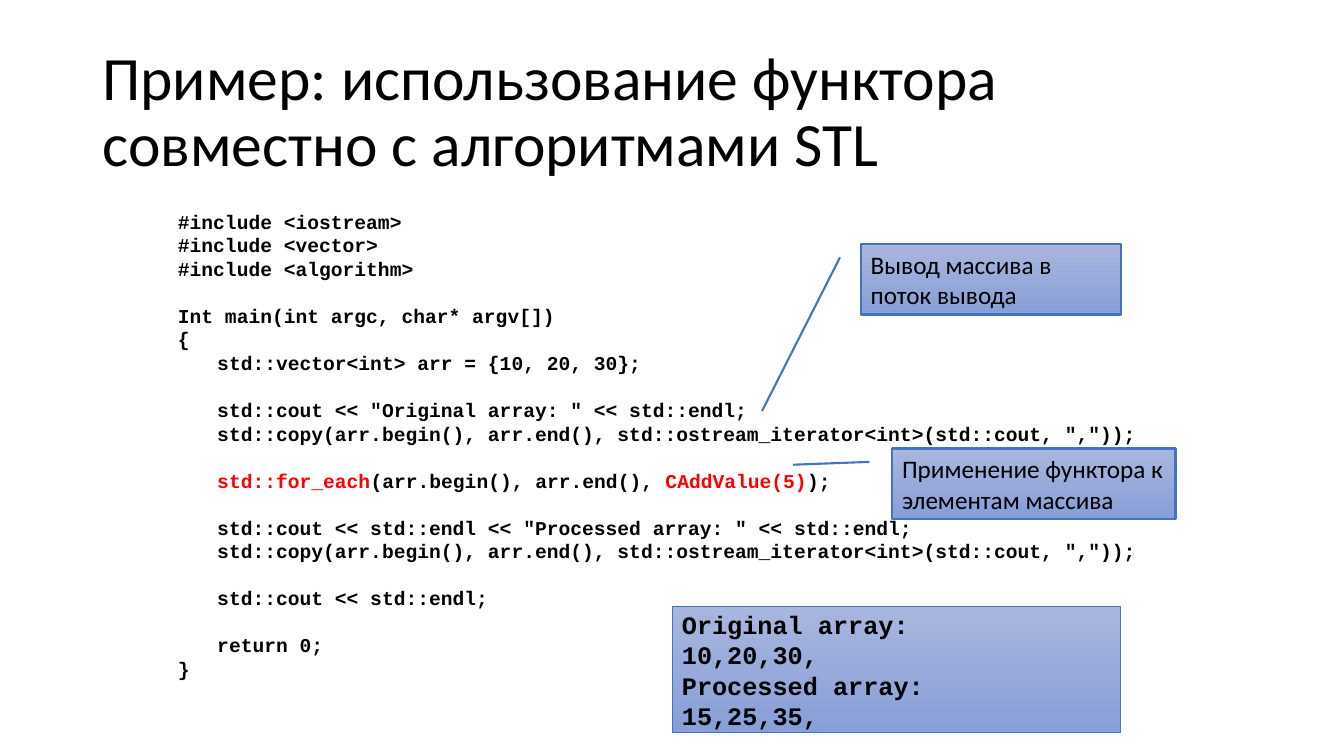
from pptx import Presentation
from pptx.dml.color import RGBColor
from pptx.enum.shapes import MSO_SHAPE
from pptx.enum.text import MSO_ANCHOR, PP_ALIGN
from pptx.util import Inches, Pt

BLACK = RGBColor(0x00, 0x00, 0x00)
RED = RGBColor(0xFF, 0x00, 0x00)
BLUE = RGBColor(0x44, 0x72, 0xC4)
LIGHT_BLUE = RGBColor(0xA8, 0xB7, 0xDF)
DEEP_BLUE = RGBColor(0x88, 0x9E, 0xD7)

WIDTH, HEIGHT = Inches(13.333), Inches(7.5)
CODE_INDENT = Inches(0.39)
BLOCK_GAP = Pt(16.8)

CODE_BLOCKS = [
    ["#include <iostream>", "#include <vector>", "#include <algorithm>"],
    ["Int main(int argc, char* argv[])", "{",
     "\tstd::vector<int> arr = {10, 20, 30};"],
    ['\tstd::cout << "Original array: " << std::endl;',
     '\tstd::copy(arr.begin(), arr.end(), std::ostream_iterator<int>(std::cout, ","));'],
    ["\t|std::for_each|(arr.begin(), arr.end(), |CAddValue(5)|);"],
    ['\tstd::cout << std::endl << "Processed array: " << std::endl;',
     '\tstd::copy(arr.begin(), arr.end(), std::ostream_iterator<int>(std::cout, ","));'],
    ["\tstd::cout << std::endl;"],
    ["\treturn 0;", "}"],
]
OUTPUT = ["Original array:", "10,20,30,", "Processed array:", "15,25,35,"]


def place(left, top, width, height):
    """Turn percentages of the slide into a position and a size."""
    return (int(WIDTH * left / 100), int(HEIGHT * top / 100),
            int(WIDTH * width / 100), int(HEIGHT * height / 100))


def write_blocks(shape, blocks, size, font="Calibri", bold=False,
                 anchor=MSO_ANCHOR.MIDDLE, line_spacing=None):
    """Write blocks of lines; a tab indents a line and bars enclose red text."""
    frame = shape.text_frame
    frame.word_wrap = True
    frame.vertical_anchor = anchor
    paragraph = None
    for block_number, block in enumerate(blocks):
        for line_number, line in enumerate(block):
            paragraph = frame.add_paragraph() if paragraph else frame.paragraphs[0]
            paragraph.alignment = PP_ALIGN.LEFT
            if line_spacing:
                paragraph.line_spacing = line_spacing
            if block_number and not line_number:
                paragraph.space_before = BLOCK_GAP
            if line.startswith("\t"):
                paragraph._p.get_or_add_pPr().set("marL", str(CODE_INDENT))
            for part_number, part in enumerate(line.strip("\t").split("|")):
                if part:
                    run = paragraph.add_run()
                    run.text = part
                    run.font.name = font
                    run.font.size = Pt(size)
                    run.font.bold = bold
                    run.font.color.rgb = RED if part_number % 2 else BLACK


def add_text(slide, area, blocks, **text_format):
    """Add a plain text box."""
    write_blocks(slide.shapes.add_textbox(*place(*area)), blocks, **text_format)


def add_panel(slide, kind, area, lines, line_width, adjustments=(), **text_format):
    """Add a gradient panel, with a pointer line when it is a callout."""
    shape = slide.shapes.add_shape(kind, *place(*area))
    shape.shadow.inherit = False
    for index, value in enumerate(adjustments):
        shape.adjustments[index] = value
    shape.fill.gradient()
    shape.fill.gradient_angle = 270
    for stop, color in zip(shape.fill.gradient_stops, (LIGHT_BLUE, DEEP_BLUE)):
        stop.color.rgb = color
    shape.line.color.rgb = BLUE
    shape.line.width = Pt(line_width)
    write_blocks(shape, [lines], size=18, **text_format)


def main():
    """Build the slide and save it."""
    presentation = Presentation()
    presentation.slide_width, presentation.slide_height = WIDTH, HEIGHT
    slide = presentation.slides.add_slide(presentation.slide_layouts[6])

    add_text(slide, (6.88, 5.33, 86.25, 19.33),
             [["Пример: использование функтора совместно с алгоритмами STL"]],
             size=44, line_spacing=0.9)
    add_text(slide, (12.5, 27.07, 75, 64.13), CODE_BLOCKS, size=14,
             font="Courier New", bold=True, anchor=MSO_ANCHOR.TOP)

    callouts = [
        ((64.05, 32.27, 19.35, 9.33), "Вывод массива в поток вывода", (2.37, -0.38)),
        ((66.38, 59.33, 21.08, 9.33), "Применение функтора к элементам массива",
         (0.23, -0.35)),
    ]
    for area, text, pointer_end in callouts:
        add_panel(slide, MSO_SHAPE.LINE_CALLOUT_1, area, [text], line_width=1.5,
                  adjustments=(0.19, -0.08, *pointer_end))
    add_panel(slide, MSO_SHAPE.RECTANGLE, (50, 80.27, 33.38, 16.67), OUTPUT,
              line_width=0.5, font="Courier New", bold=True)

    presentation.save("out.pptx")


if __name__ == "__main__":
    main()
